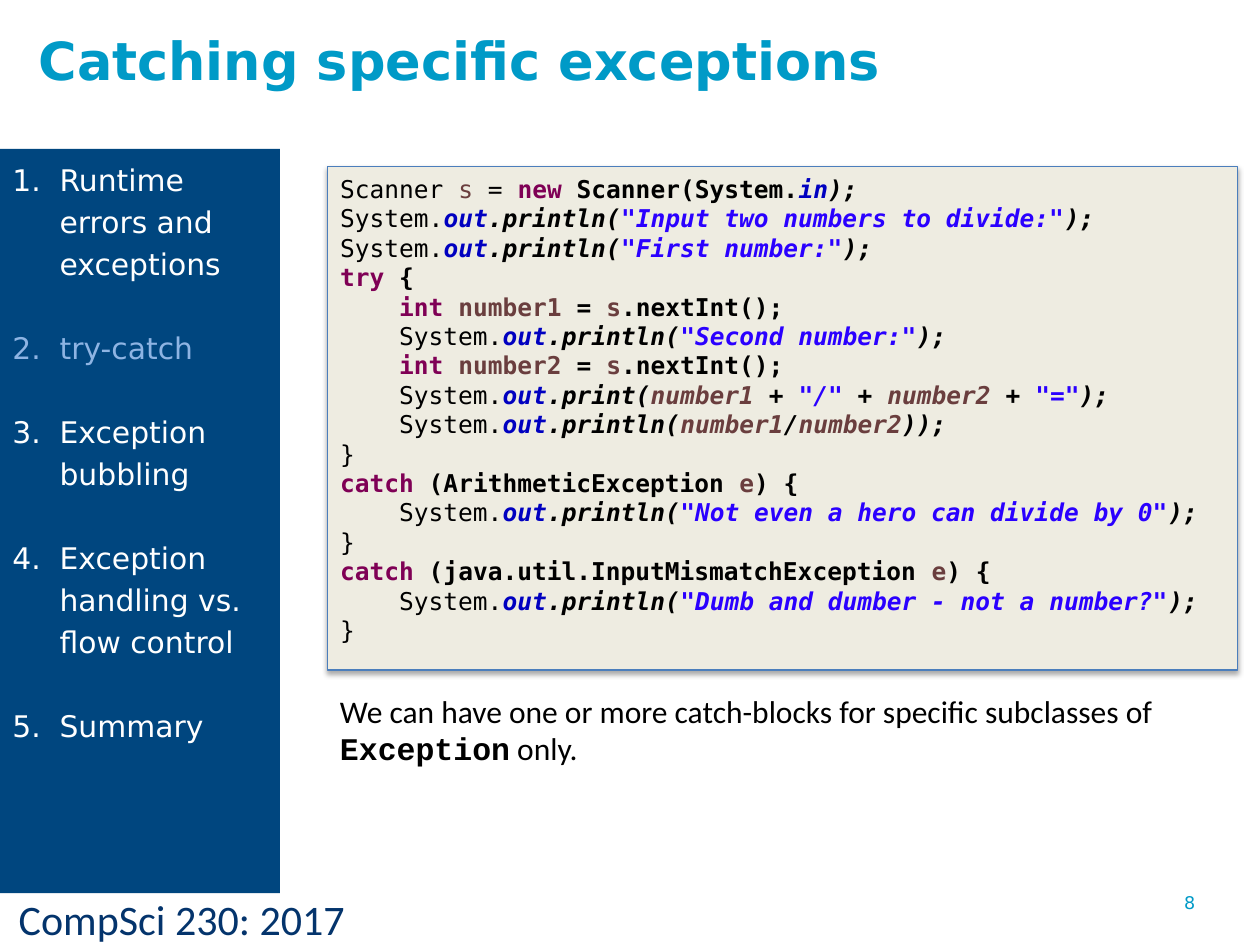
"""Build a lecture slide about catching specific exceptions in Java."""
from lxml import etree
from pptx import Presentation
from pptx.dml.color import RGBColor
from pptx.enum.shapes import MSO_SHAPE
from pptx.enum.text import MSO_ANCHOR, PP_ALIGN
from pptx.oxml.ns import qn
from pptx.util import Pt

RECTANGLE = MSO_SHAPE.RECTANGLE
TOP = MSO_ANCHOR.TOP
LEFT = PP_ALIGN.LEFT

SANS, MONO, BODY, TYPEWRITER = "DejaVu Sans", "DejaVu Sans Mono", "Calibri", "Courier New"
BLACK, WHITE, CYAN, NAVY = "000000", "FFFFFF", "009AC7", "04346C"
SIDEBAR_BLUE, HIGHLIGHT = "00467F", "8EB4E3"
PANEL_FILL, PANEL_LINE = "EEECE1", "4B7EBC"

TOPICS = [
    ("Runtime errors and exceptions", WHITE),
    ("try-catch", HIGHLIGHT),
    ("Exception bubbling", WHITE),
    ("Exception handling vs. flow control", WHITE),
    ("Summary", WHITE),
]

SYNTAX = {
    "plain": (BLACK, False, False),
    "variable": ("6A3E3E", False, False),
    "code": (BLACK, True, False),
    "keyword": ("7F0055", True, False),
    "name": ("6A3E3E", True, False),
    "field": ("0000C0", True, True),
    "call": (BLACK, True, True),
    "string": ("2A00FF", True, True),
    "argument": ("6A3E3E", True, True),
}


def output(indent, method, *arguments, end=");"):
    """Return the tokens of a System.out call."""
    return [("plain", indent + "System."), ("field", "out"), ("call", f".{method}("),
            *arguments, ("call", end)]


def read_int(name):
    """Return the tokens that read one number."""
    return [("keyword", "    int "), ("name", name), ("code", " = "),
            ("name", "s"), ("code", ".nextInt();")]


def catch_block(exception, message):
    """Return the three lines of a catch block."""
    return [
        [("keyword", "catch "), ("code", f"({exception} "), ("name", "e"), ("code", ") {")],
        output("    ", "println", ("string", message)),
        [("plain", "}")],
    ]


CODE = [
    [("plain", "Scanner "), ("variable", "s"), ("plain", " = "), ("keyword", "new"),
     ("code", " Scanner(System."), ("field", "in"), ("call", ");")],
    output("", "println", ("string", '"Input two numbers to divide:"')),
    output("", "println", ("string", '"First number:"')),
    [("keyword", "try "), ("code", "{")],
    read_int("number1"),
    output("    ", "println", ("string", '"Second number:"')),
    read_int("number2"),
    output("    ", "print", ("argument", "number1"), ("call", " + "), ("string", '"/"'),
           ("call", " + "), ("argument", "number2"), ("call", " + "), ("string", '"="')),
    output("    ", "println", ("argument", "number1"), ("call", "/"),
           ("argument", "number2"), end="));"),
    [("plain", "}")],
    *catch_block("ArithmeticException", '"Not even a hero can divide by 0"'),
    *catch_block("java.util.InputMismatchException", '"Dumb and dumber - not a number?"'),
]


def rgb(value):
    """Convert a hex string to a colour."""
    return RGBColor.from_string(value)


def set_font(font, size, face, color, bold=False):
    """Apply the given look to a font."""
    font.size, font.name, font.bold = Pt(size), face, bold
    font.color.rgb = rgb(color)


def add_text(slide, box, text="", *look):
    """Add a wrapping text box and return its text frame."""
    frame = slide.shapes.add_textbox(*map(Pt, box)).text_frame
    frame.word_wrap = True
    if text:
        frame.text = text
        set_font(frame.paragraphs[0].font, *look)
    return frame


def add_panel(slide, box, fill):
    """Add a flat filled rectangle without outline."""
    panel = slide.shapes.add_shape(RECTANGLE, *map(Pt, box))
    panel.shadow.inherit = False
    panel.fill.solid()
    panel.fill.fore_color.rgb = rgb(fill)
    panel.line.fill.background()
    return panel


def add_shadow(shape):
    """Give a shape a soft shadow that falls downwards."""
    effects = shape._element.spPr.find(qn("a:effectLst"))
    shadow = etree.SubElement(effects, qn("a:outerShdw"), blurRad=str(Pt(3.1)),
                              dist=str(Pt(1.8)), dir="5400000", rotWithShape="0")
    color = etree.SubElement(shadow, qn("a:srgbClr"), val=BLACK)
    etree.SubElement(color, qn("a:alpha"), val="35000")


def next_paragraph(frame, index):
    """Return the first paragraph, or a new one after it."""
    return frame.add_paragraph() if index else frame.paragraphs[0]


def add_sidebar(slide):
    """Add the numbered list of topics."""
    frame = add_panel(slide, (0, 85, 160, 425.4), SIDEBAR_BLUE).text_frame
    frame.word_wrap = True
    frame.vertical_anchor = TOP
    for index, (topic, color) in enumerate(TOPICS):
        paragraph = next_paragraph(frame, index)
        paragraph.text = topic
        paragraph.alignment = LEFT
        paragraph.line_spacing = paragraph.space_after = Pt(24)
        set_font(paragraph.font, 17, SANS, color)
        properties = paragraph._p.get_or_add_pPr()
        properties.set("marL", str(Pt(27)))
        properties.set("indent", str(Pt(-27)))
        numbering = etree.Element(qn("a:buAutoNum"), type="arabicPeriod")
        properties.find(qn("a:defRPr")).addprevious(numbering)


def add_code(slide):
    """Add the highlighted listing on its panel."""
    panel = add_panel(slide, (187.2, 95, 519.8, 288), PANEL_FILL)
    panel.line.color.rgb = rgb(PANEL_LINE)
    panel.line.width = Pt(0.75)
    add_shadow(panel)
    frame = add_text(slide, (187.2, 95.8, 524.9, 287.3))
    for index, tokens in enumerate(CODE):
        paragraph = next_paragraph(frame, index)
        paragraph.line_spacing = Pt(16.8)
        paragraph.font.size, paragraph.font.name = Pt(14), MONO
        for kind, text in tokens:
            run = paragraph.add_run()
            run.text = text
            color, bold, italic = SYNTAX[kind]
            set_font(run.font, 14, MONO, color, bold)
            run.font.italic = italic


def add_caption(slide):
    """Add the remark below the listing."""
    paragraph = add_text(slide, (187.2, 391.7, 532, 51)).paragraphs[0]
    for text, face, bold in [
        ("We can have one or more catch-blocks for specific subclasses of ", BODY, False),
        ("Exception", TYPEWRITER, True),
        (" only.", BODY, False),
    ]:
        run = paragraph.add_run()
        run.text = text
        set_font(run.font, 18, face, BLACK, bold)


def main():
    """Assemble and save the slide."""
    deck = Presentation()
    deck.slide_width, deck.slide_height = Pt(720), Pt(540)
    slide = deck.slides.add_slide(deck.slide_layouts[6])
    add_text(slide, (3.6, 506.9, 291.6, 36), "CompSci 230: 2017", 24, BODY, NAVY)
    add_text(slide, (669.6, 506.2, 50.4, 37.4), "8", 10, SANS, CYAN)
    title = add_text(slide, (15, 10, 513.4, 56), "Catching specific exceptions",
                     30, SANS, CYAN, True)
    title.margin_top = Pt(6)
    add_code(slide)
    add_caption(slide)
    add_sidebar(slide)
    deck.save("out.pptx")


if __name__ == "__main__":
    main()
